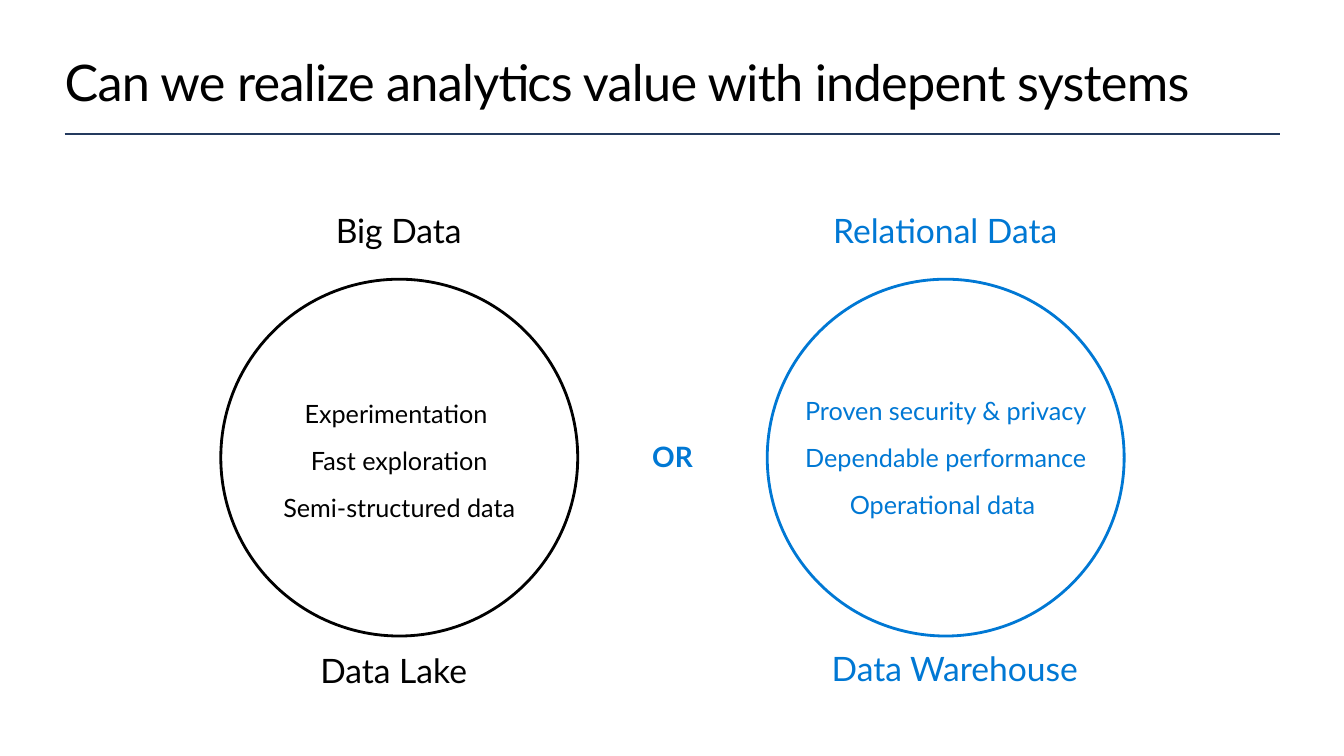
from pptx import Presentation
from pptx.dml.color import RGBColor
from pptx.enum.shapes import MSO_CONNECTOR, MSO_SHAPE
from pptx.enum.text import MSO_ANCHOR, MSO_AUTO_SIZE, PP_ALIGN
from pptx.oxml.ns import qn
from pptx.util import Inches, Pt
from lxml import etree

LEFT, CENTER = PP_ALIGN.LEFT, PP_ALIGN.CENTER
TOP, MIDDLE = MSO_ANCHOR.TOP, MSO_ANCHOR.MIDDLE
GROW, FIXED = MSO_AUTO_SIZE.SHAPE_TO_FIT_TEXT, MSO_AUTO_SIZE.NONE
OVAL, STRAIGHT = MSO_SHAPE.OVAL, MSO_CONNECTOR.STRAIGHT
BLACK, BLUE, NAVY = "000000", "0078D4", "243A5E"


def color(text):
    return RGBColor.from_string(text)


class Page:
    font = "Lato"
    weight = 2

    def __init__(self, slide):
        self.slide = slide
        self.shapes = slide.shapes

    def frame(self, shape, anchor, fit, side=0, edge=0):
        body = shape.text_frame
        body.word_wrap = True
        body.auto_size = fit
        body.vertical_anchor = anchor
        body.margin_left = body.margin_right = Inches(side)
        body.margin_top = body.margin_bottom = Inches(edge)
        return body

    def style(self, para, size, hue, align=CENTER, bold=False):
        para.alignment = align
        para.font.name = self.font
        para.font.size = Pt(size)
        para.font.bold = bold
        para.font.color.rgb = color(hue)

    def title(self, text, *box):
        shape = self.shapes.title
        shape.left, shape.top, shape.width, shape.height = map(Inches, box)
        para = self.frame(shape, MIDDLE, GROW).paragraphs[0]
        run = para.add_run()
        run.text = text
        run.font._element.set("spc", "-50")
        self.style(para, 36, BLACK, LEFT)

    def rule(self, x1, x2, y):
        line = self.shapes.add_connector(
            STRAIGHT, Inches(x1), Inches(y), Inches(x2), Inches(y))
        line.line.color.rgb = color(NAVY)
        line.line.width = Pt(self.weight)
        etree.SubElement(line._element.spPr, qn("a:effectLst"))

    def label(self, text, box, hue, size=24, bold=False, after=0):
        shape = self.shapes.add_textbox(*map(Inches, box))
        para = self.frame(shape, TOP, GROW, 0.2, 0.16).paragraphs[0]
        para.text = text
        para.line_spacing = 0.9
        para.space_after = Pt(after)
        self.style(para, size, hue, bold=bold)

    def points(self, lines, box, hue):
        shape = self.shapes.add_textbox(*map(Inches, box))
        body = self.frame(shape, MIDDLE, FIXED)
        body.text = "\n".join(lines)
        for para in body.paragraphs:
            para.space_after = Pt(12)
            self.style(para, 18, hue)

    def ring(self, x, y, size, hue):
        shape = self.shapes.add_shape(
            OVAL, Inches(x), Inches(y), Inches(size), Inches(size))
        shape.shadow.inherit = False
        shape.fill.background()
        shape.line.color.rgb = color(hue)
        shape.line.width = Pt(self.weight)


def main():
    deck = Presentation()
    deck.slide_width, deck.slide_height = Inches(13.33), Inches(7.5)
    page = Page(deck.slides.add_slide(deck.slide_layouts[5]))

    # Heading
    page.rule(0.64, 12.7, 1.33)
    page.title("Can we realize analytics value with indepent systems",
               0.64, 0.5, 12.05, 0.61)

    # Two systems: colour, ring left, heading, points, name
    sides = [
        (BLACK, 2.19,
         "Big Data", (2.89, 1.97, 2.13, 0.69),
         ["Experimentation ", "Fast exploration", "Semi-structured data"],
         (2.19, 3.75, 3.54, 1.63),
         "Data Lake", (2.84, 6.33, 2.13, 0.69)),
        (BLUE, 7.61,
         "Relational Data", (7.88, 1.97, 2.99, 0.69),
         ["Proven security & privacy", "Dependable performance",
          "Operational data "],
         (7.77, 3.72, 3.22, 1.63),
         "Data Warehouse", (7.96, 6.31, 3.02, 0.69)),
    ]
    for hue, x, head, top, lines, mid, name, base in sides:
        page.ring(x, 2.77, 3.54, hue)
        page.label(head, top, hue)
        page.points(lines, mid, hue)
        page.label(name, base, hue)

    # Choice between them
    page.label("OR", (5.61, 4.25, 2.12, 0.63), BLUE, 20, True, 6)

    deck.save("out.pptx")


if __name__ == "__main__":
    main()
